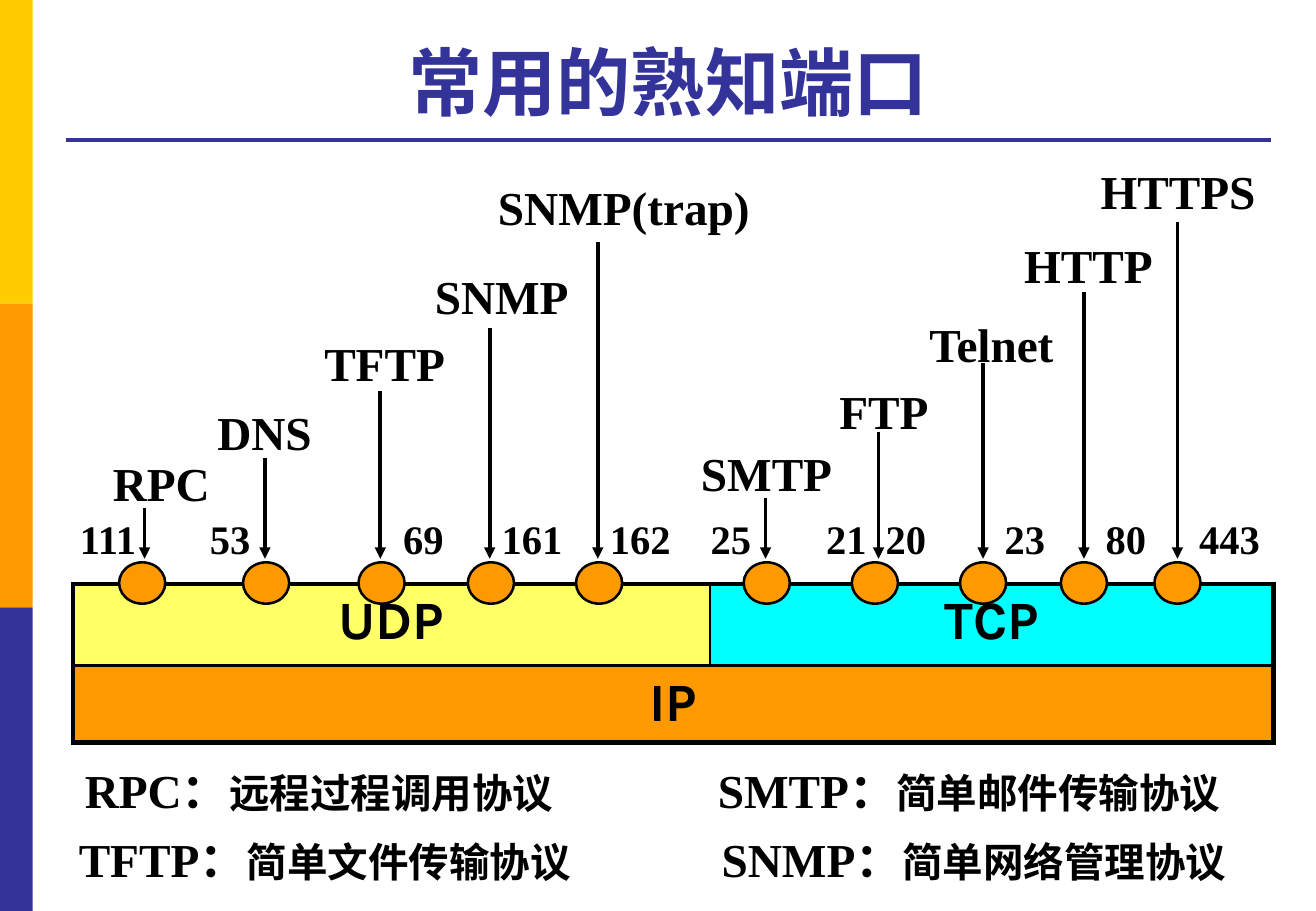
from lxml.etree import SubElement
from pptx import Presentation
from pptx.dml.color import RGBColor
from pptx.enum.shapes import MSO_CONNECTOR, MSO_SHAPE
from pptx.enum.text import MSO_ANCHOR, PP_ALIGN
from pptx.oxml.ns import qn
from pptx.util import Inches, Pt

HUES = {
    "ink": "000000", "blue": "333399", "gold": "FFCC00",
    "orange": "FF9900", "lemon": "FFFF66", "cyan": "00FFFF",
}
SERIF = "Times New Roman"

PORTS = [
    ("RPC", 0.33, 2.69, 0.69, 3.18, 0.48, [("111", 0.06)]),
    ("DNS", 1.19, 2.27, 1.68, 2.77, 1.5, [("53", 1.13)]),
    ("TFTP", 2.07, 1.7, 2.63, 2.22, 2.45, [("69", 2.72)]),
    ("SNMP", 2.98, 1.15, 3.53, 1.7, 3.35, [("161", 3.53)]),
    ("SNMP(trap)", 3.5, 0.42, 4.42, 0.99, 4.24, [("162", 4.42)]),
    ("SMTP", 5.17, 2.61, 5.8, 3.1, 5.62, [("25", 5.25)]),
    ("FTP", 6.31, 2.1, 6.73, 2.56, 6.51, [("21", 6.2), ("20", 6.69)]),
    ("Telnet", 7.05, 1.55, 7.59, 1.99, 7.4, [("23", 7.67)]),
    ("HTTP", 7.83, 0.9, 8.42, 1.4, 8.23, [("80", 8.5)]),
    ("HTTPS", 8.46, 0.29, 9.19, 0.83, 9.0, [("443", 9.27)]),
]
TERMS = [
    ("RPC：", "远程过程调用协议", 0.05, 0),
    ("TFTP：", "简单文件传输协议", 0, 0.57),
    ("SMTP：", "简单邮件传输协议", 5.26, 0),
    ("SNMP：", "简单网络管理协议", 5.29, 0.57),
]


def hue(name):
    return RGBColor.from_string(HUES[name])


def write(frame, *runs, font=SERIF, color="ink", align=PP_ALIGN.LEFT,
          anchor=MSO_ANCHOR.TOP):
    frame.word_wrap = True
    frame.vertical_anchor = anchor
    para = frame.paragraphs[0]
    para.alignment = align
    for words, size in runs:
        run = para.add_run()
        run.text = words
        run.font.name = font
        run.font.size = Pt(size)
        run.font.bold = True
        run.font.color.rgb = hue(color)


def label(slide, box, *runs, **form):
    area = slide.shapes.add_textbox(*map(Inches, box))
    write(area.text_frame, *runs, **form)


def shape(slide, kind, box, fill, edge=None):
    item = slide.shapes.add_shape(kind, *map(Inches, box))
    item.shadow.inherit = False
    item.fill.solid()
    item.fill.fore_color.rgb = hue(fill)
    if edge:
        item.line.color.rgb = hue(edge)
        item.line.width = Pt(1.5)
    else:
        item.line.fill.background()


def line(slide, ends, color, arrow=False):
    item = slide.shapes.add_connector(MSO_CONNECTOR.STRAIGHT, *map(Inches, ends))
    item.line.color.rgb = hue(color)
    item.line.width = Pt(2.25)
    props = item._element.spPr
    if arrow:
        SubElement(props.find(qn("a:ln")), qn("a:tailEnd"), type="triangle")
    SubElement(props, qn("a:effectLst"))


def side(slide, box):
    left, top, width, height = box
    step = height / 3
    for row, fill in enumerate(("gold", "orange", "blue")):
        shape(slide, MSO_SHAPE.RECTANGLE, (left, top + row * step, width, step), fill)


def head(slide, box):
    left, top, width, height = box
    base = top + height
    line(slide, (left, base, left + width, base), "blue")
    label(slide, (left, top, width, height - 0.07), ("常用的熟知端口", 44),
          font="Arial", color="blue", align=PP_ALIGN.CENTER, anchor=MSO_ANCHOR.BOTTOM)


def border(cell, **widths):
    props = cell._tc.get_or_add_tcPr()
    for edge in "LRTB":
        rule = SubElement(props, qn("a:ln" + edge), w=str(Pt(widths.get(edge, 1.5))))
        fill = SubElement(rule, qn("a:solidFill"))
        SubElement(fill, qn("a:srgbClr"), val=HUES["ink"])


def stack(slide, box):
    table = slide.shapes.add_table(2, 2, *map(Inches, box)).table
    table.first_row = table.horz_banding = False
    for col, width in zip(table.columns, (5.24, 4.64)):
        col.width = Inches(width)
    for row, height in zip(table.rows, (0.67, 0.63)):
        row.height = Inches(height)
    table.cell(1, 0).merge(table.cell(1, 1))
    cells = [
        (0, 0, "UDP", "lemon", {"L": 3, "T": 3}),
        (0, 1, "TCP", "cyan", {"R": 3, "T": 3}),
        (1, 0, "IP", "orange", {"L": 3, "R": 3, "B": 3}),
        (1, 1, "", "orange", {"R": 3, "B": 3}),
    ]
    for row, col, words, fill, edges in cells:
        cell = table.cell(row, col)
        border(cell, **edges)
        cell.fill.solid()
        cell.fill.fore_color.rgb = hue(fill)
        cell.margin_left = cell.margin_right = Inches(0.11)
        if words:
            write(cell.text_frame, (words, 32), font="Karla", align=PP_ALIGN.CENTER)


def ports(slide, box):
    left, top, width, height = box
    base = top + height
    for name, x, y, stem, start, dot, codes in PORTS:
        label(slide, (left + x, top + y, 2.37 if len(name) > 6 else 1.68, 0.57),
              (name, 28))
        shape(slide, MSO_SHAPE.OVAL, (left + dot, base - 0.34, 0.38, 0.34),
              "orange", "ink")
        line(slide, (left + stem, top + start, left + stem, base - 0.37), "ink", True)
        for code, place in codes:
            label(slide, (left + place, base - 0.79, 1, 0.5), (code, 24))


def terms(slide, box):
    left, top, width, height = box
    for name, words, x, y in TERMS:
        label(slide, (left + x, top + y, width / 2 - 0.3, height / 2),
              (name, 28), (words, 24))


def main():
    deck = Presentation()
    deck.slide_width = Inches(10.83)
    deck.slide_height = Inches(7.5)
    slide = deck.slides.add_slide(deck.slide_layouts[6])
    side(slide, (0, 0, 0.27, 7.5))
    head(slide, (0.54, 0.21, 9.92, 0.94))
    stack(slide, (0.6, 4.81, 9.88, 1.3))
    ports(slide, (0.5, 1, 10.3, 3.97))
    terms(slide, (0.55, 6.22, 9.95, 1.14))
    deck.save("out.pptx")


if __name__ == "__main__":
    main()
